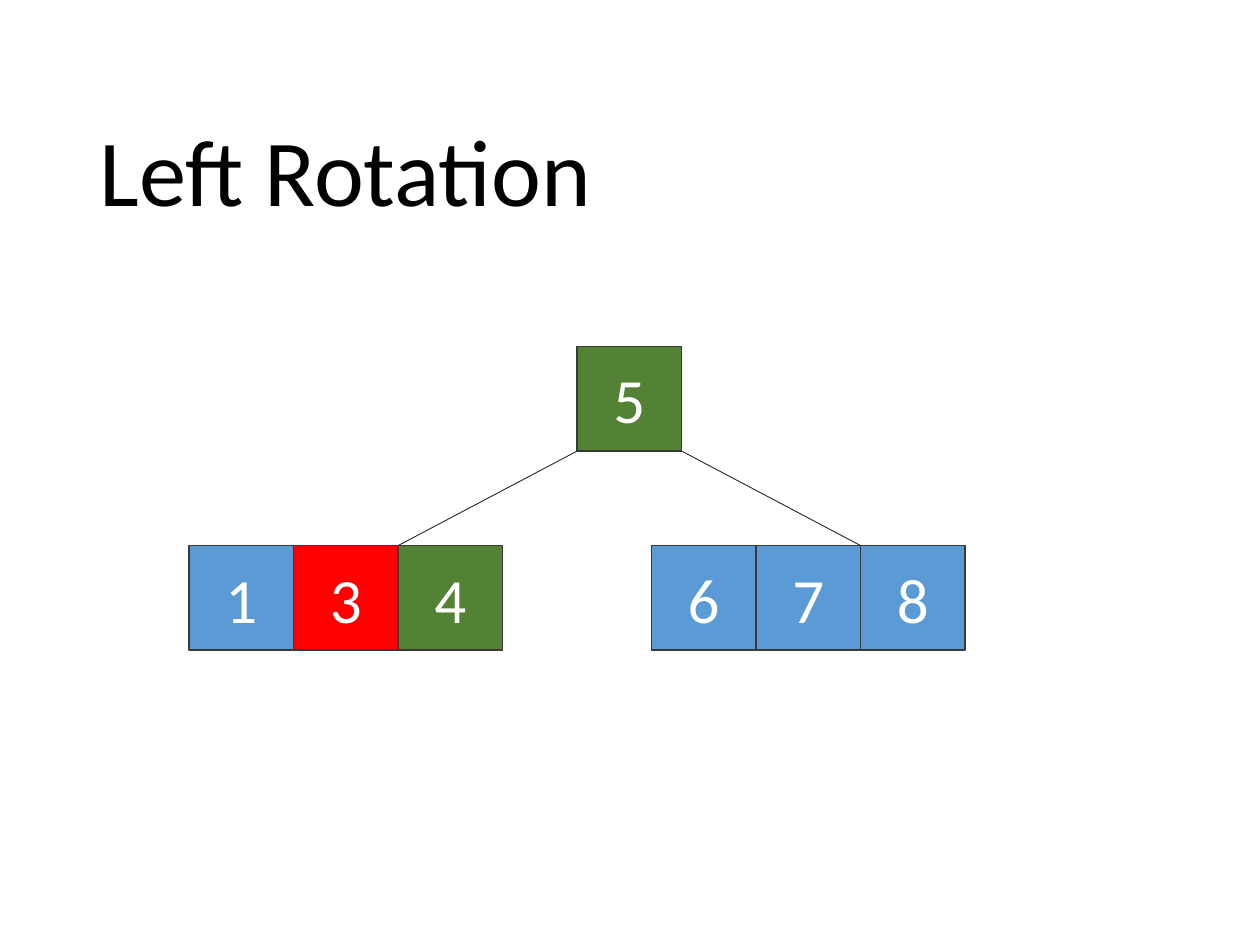
from dataclasses import dataclass

from lxml.etree import SubElement
from pptx import Presentation
from pptx.dml.color import RGBColor as RGB
from pptx.enum.shapes import MSO_CONNECTOR as Connector, MSO_SHAPE as Shape
from pptx.enum.text import MSO_ANCHOR as Anchor, PP_ALIGN as Align
from pptx.oxml.ns import qn
from pptx.util import Inches, Pt


@dataclass(frozen=True)
class Theme:
    font: str = "Calibri"
    title_size: int = 54
    key_size: int = 36
    title: RGB = RGB(0, 0, 0)
    key: RGB = RGB(255, 255, 255)
    blue: RGB = RGB(0x5B, 0x9B, 0xD5)
    green: RGB = RGB(0x54, 0x82, 0x35)
    red: RGB = RGB(255, 0, 0)
    border: RGB = RGB(0x3B, 0x38, 0x38)
    branch: RGB = RGB(0x26, 0x26, 0x26)


THEME = Theme()
CELL = Inches(0.83)


def write(frame, text, *, size, color, align=Align.LEFT, anchor=Anchor.MIDDLE, spacing=1.0):
    frame.word_wrap = True
    frame.vertical_anchor = anchor
    line = frame.paragraphs[0]
    line.alignment = align
    line.line_spacing = spacing
    run = line.add_run()
    run.text = text
    run.font.name = THEME.font
    run.font.size = Pt(size)
    run.font.color.rgb = color


def add_title(slide, left, top, width, height):
    heading = slide.shapes.add_textbox(left, top, width, height)
    write(heading.text_frame, "Left Rotation", size=THEME.title_size,
          color=THEME.title, anchor=Anchor.BOTTOM, spacing=0.9)


def add_node(slide, left, top, keys):
    for column, (key, fill) in enumerate(keys):
        cell = slide.shapes.add_shape(Shape.RECTANGLE, left + column * CELL, top, CELL, CELL)
        cell.shadow.inherit = False
        cell.fill.solid()
        cell.fill.fore_color.rgb = fill
        cell.line.color.rgb = THEME.border
        cell.line.width = Pt(1)
        write(cell.text_frame, key, size=THEME.key_size, color=THEME.key, align=Align.CENTER)


def add_branch(slide, start, end):
    branch = slide.shapes.add_connector(Connector.STRAIGHT, *start, *end)
    branch.line.color.rgb = THEME.branch
    branch.line.width = Pt(0.5)
    SubElement(branch._element.spPr, qn("a:effectLst"))


def add_tree(slide, left, top, width, height):
    root_left = left + Inches(3.08)
    root_bottom = top + CELL
    leaf_top = top + height - CELL
    right_leaf = left + width - 3 * CELL

    add_node(slide, root_left, top, [("5", THEME.green)])
    add_node(slide, left, leaf_top,
             [("1", THEME.blue), ("3", THEME.red), ("4", THEME.green)])
    add_node(slide, right_leaf, leaf_top, [(key, THEME.blue) for key in "678"])
    for root_x, leaf in ((root_left, left), (root_left + CELL, right_leaf)):
        add_branch(slide, (root_x, root_bottom), (leaf + 2 * CELL, leaf_top))


def main():
    deck = Presentation()
    deck.slide_width, deck.slide_height = Inches(10), Inches(7.5)
    slide = deck.slides.add_slide(deck.slide_layouts[6])
    add_title(slide, Inches(0.69), Inches(0.4), Inches(8.62), Inches(1.45))
    add_tree(slide, Inches(1.5), Inches(2.75), Inches(6.16), Inches(2.41))
    deck.save("out.pptx")


if __name__ == "__main__":
    main()
